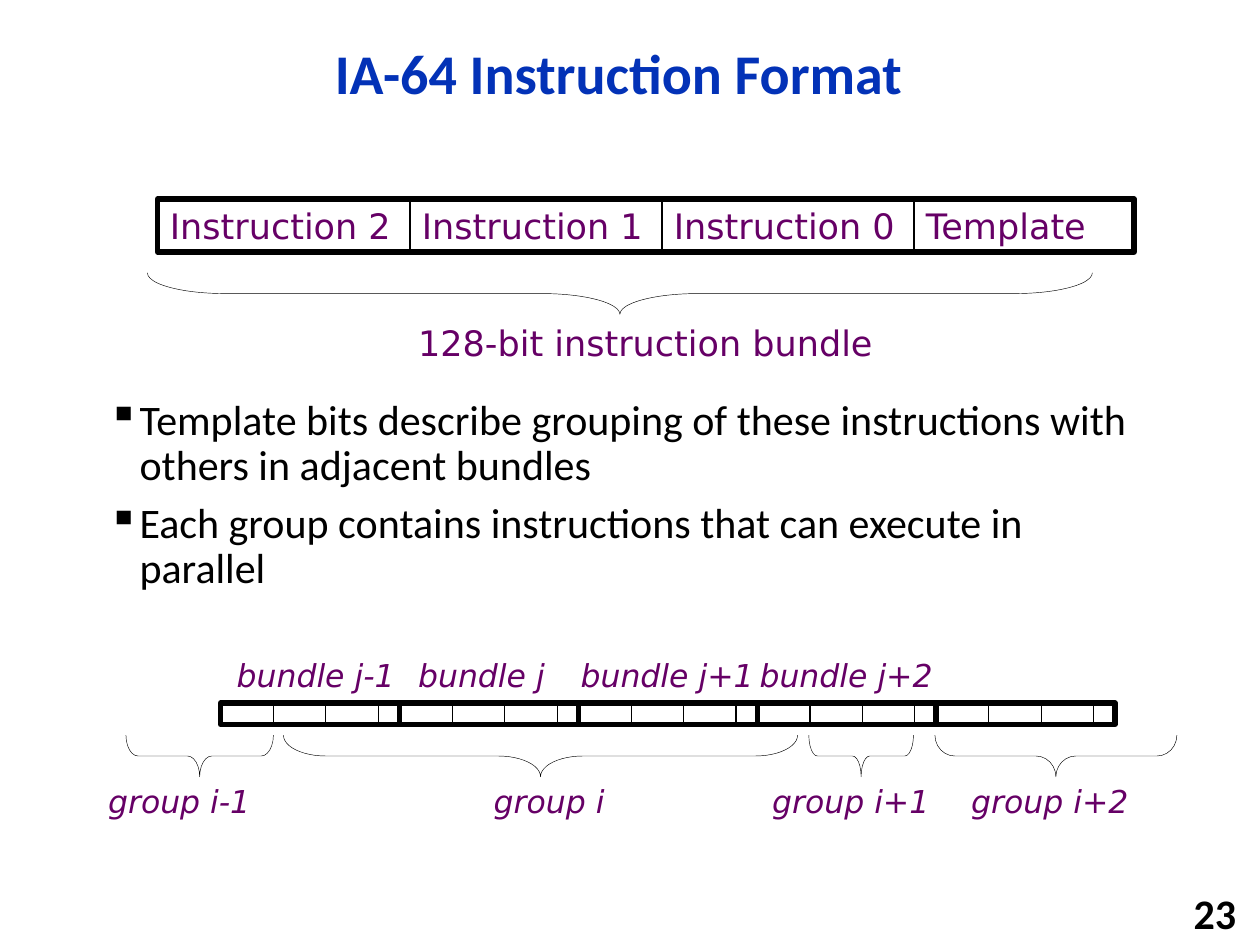
import pptx
import pptx.util
import pptx.dml.color
import pptx.enum.shapes
import pptx.enum.text
import pptx.oxml

Inches = pptx.util.Inches
Pt = pptx.util.Pt
SHAPE = pptx.enum.shapes.MSO_SHAPE
ALIGN = pptx.enum.text.PP_ALIGN
ANCHOR = pptx.enum.text.MSO_ANCHOR

COLORS = {"title": "0332B7", "text": "000000", "label": "660066", "line": "000000"}
NAMESPACE = 'xmlns:a="http://schemas.openxmlformats.org/drawingml/2006/main"'


def add_outline(shapes, kind, left, top, width, height, weight):
    outline = shapes.add_shape(kind, Inches(left), Inches(top), Inches(width), Inches(height))
    outline.shadow.inherit = False
    outline.fill.background()
    outline.line.color.rgb = pptx.dml.color.RGBColor.from_string(COLORS["line"])
    outline.line.width = Pt(weight)
    return outline


def add_words(paragraph, words, size, color, font="Calibri", bold=False, italic=False):
    run = paragraph.add_run()
    run.text = words
    run.font.size = Pt(size)
    run.font.name = font
    run.font.bold = bold
    run.font.italic = italic
    run.font.color.rgb = pptx.dml.color.RGBColor.from_string(COLORS[color])


deck = pptx.Presentation()
deck.slide_width = Inches(10)
deck.slide_height = Inches(7.5)
slide = deck.slides.add_slide(deck.slide_layouts[6])
shapes = slide.shapes

# Title and slide number
for words, left, top, width, height, size, color, align in [
    ("IA-64 Instruction Format", 0.92, 0.17, 7.98, 0.81, 32, "title", ALIGN.CENTER),
    ("23", 7.83, 7.08, 2.08, 0.32, 24, "text", ALIGN.RIGHT),
]:
    heading = shapes.add_textbox(Inches(left), Inches(top), Inches(width), Inches(height)).text_frame
    heading.word_wrap = True
    heading.vertical_anchor = ANCHOR.MIDDLE
    heading.paragraphs[0].alignment = align
    add_words(heading.paragraphs[0], words, size, color, bold=True)

# Bullets
body = shapes.add_textbox(Inches(0.76), Inches(1.17), Inches(8.4), Inches(5.53)).text_frame
body.word_wrap = True
body.vertical_anchor = ANCHOR.MIDDLE
for number, point in enumerate([
    "Template bits describe grouping of these instructions with others in adjacent bundles",
    "Each group contains instructions that can execute in parallel",
]):
    paragraph = body.add_paragraph() if number else body.paragraphs[0]
    properties = paragraph._p.get_or_add_pPr()
    properties.set("marL", str(Inches(0.25)))
    properties.set("indent", str(Inches(-0.25)))
    properties.append(pptx.oxml.parse_xml(f'<a:buChar {NAMESPACE} char="▪"/>'))
    paragraph.line_spacing = 0.9
    if number:
        paragraph.space_before = Pt(7.2)
    add_words(paragraph, point, 24, "text")

# Fields of one instruction bundle
fields = shapes.add_group_shape().shapes
for column, (field, width) in enumerate([
    ("Instruction 2", 2.01), ("Instruction 1", 2.01), ("Instruction 0", 2.01), ("Template", 1.75),
]):
    cell = add_outline(fields, SHAPE.RECTANGLE, 1.25 + 2 * column, 1.58, width, 0.42, 0.25)
    cell.text_frame.word_wrap = False
    cell.text_frame.vertical_anchor = ANCHOR.MIDDLE
    cell.text_frame.paragraphs[0].alignment = ALIGN.LEFT
    add_words(cell.text_frame.paragraphs[0], field, 20, "label", "DejaVu Sans")
add_outline(fields, SHAPE.RECTANGLE, 1.25, 1.58, 7.75, 0.42, 3)

# Row of five bundles, each with three instructions and a template
SLOT = 1.25 / 3
BUNDLE = 3 * SLOT + 0.17
for bundle in range(5):
    start = 1.75 + bundle * BUNDLE
    strip = shapes.add_group_shape().shapes
    for slot in range(4):
        add_outline(strip, SHAPE.RECTANGLE, start + slot * SLOT, 5.58, SLOT if slot < 3 else 0.17, 0.17, 0.25)
    add_outline(strip, SHAPE.RECTANGLE, start, 5.58, BUNDLE, 0.17, 3)

# Braces opening upwards: left end, middle height, span
DEPTH = 0.33
for left, middle, span in [
    (1.17, 2.33, 7.5), (2.25, 6, 4.08), (6.42, 6, 0.83), (7.42, 6, 1.92), (1, 6, 1.17),
]:
    brace = add_outline(shapes, SHAPE.LEFT_BRACE, left + (span - DEPTH) / 2, middle - span / 2,
                        DEPTH, span, 0.25)
    brace.rotation = 270
    brace.adjustments[0] = span / 4
    brace.adjustments[1] = 0.5

# Labels
for words, left, top, width, height, size in [
    ("128-bit instruction bundle", 3.22, 2.5, 3.83, 0.43, 20),
    ("bundle j-1", 1.78, 5.16, 1.49, 0.4, 18),
    ("bundle j", 3.22, 5.16, 1.22, 0.4, 18),
    ("bundle j+1", 4.51, 5.16, 1.59, 0.4, 18),
    ("bundle j+2", 5.93, 5.16, 1.59, 0.4, 18),
    ("group i-1", 0.76, 6.16, 1.36, 0.4, 18),
    ("group i", 3.82, 6.16, 1.09, 0.4, 18),
    ("group i+1", 6.03, 6.16, 1.45, 0.4, 18),
    ("group i+2", 7.61, 6.16, 1.45, 0.4, 18),
]:
    label = shapes.add_textbox(Inches(left), Inches(top), Inches(width), Inches(height)).text_frame
    label.word_wrap = False
    label.vertical_anchor = ANCHOR.MIDDLE
    add_words(label.paragraphs[0], words, size, "label", "DejaVu Sans", italic=size == 18)

deck.save("out.pptx")
